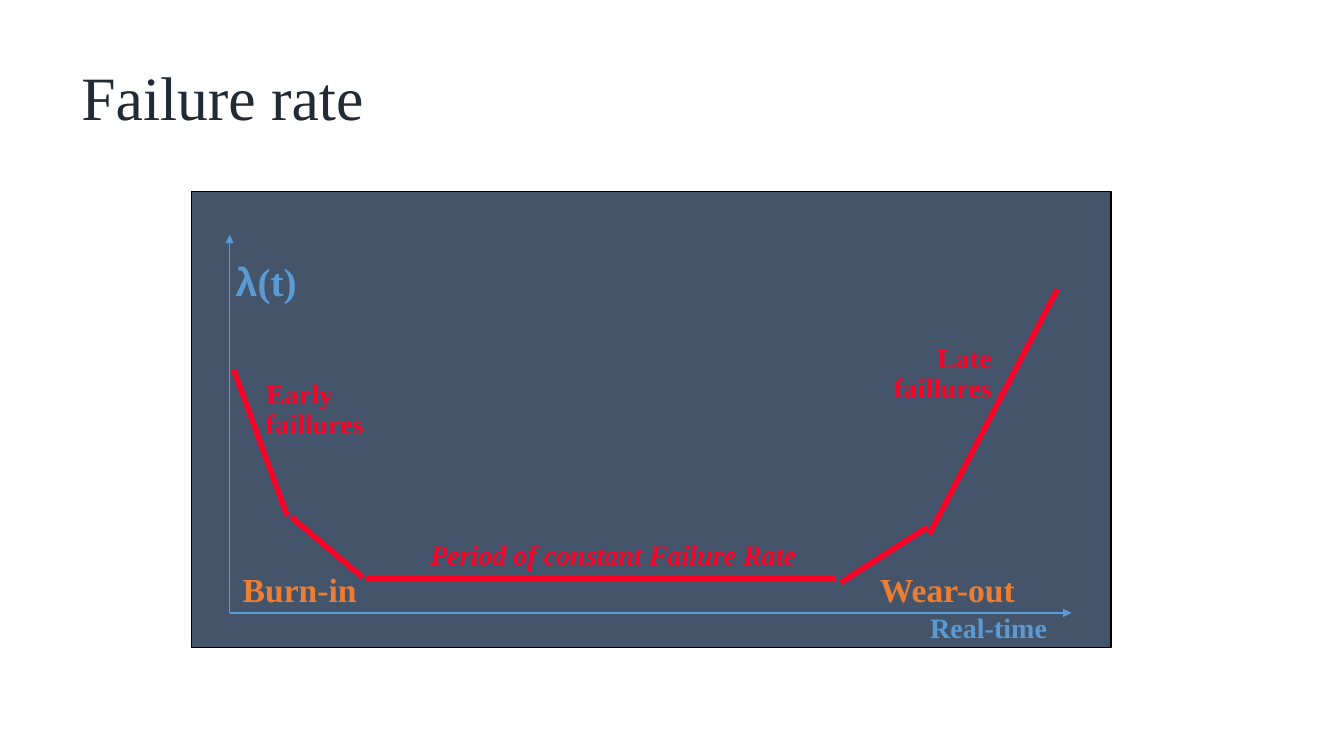
from lxml import etree
from pptx import Presentation
from pptx.dml.color import RGBColor
from pptx.enum.shapes import MSO_CONNECTOR, MSO_SHAPE
from pptx.enum.text import MSO_ANCHOR, MSO_AUTO_SIZE, PP_ALIGN
from pptx.oxml.ns import qn
from pptx.util import Pt

RECTANGLE = MSO_SHAPE.RECTANGLE
STRAIGHT = MSO_CONNECTOR.STRAIGHT
LEFT, RIGHT = PP_ALIGN.LEFT, PP_ALIGN.RIGHT
MIDDLE = MSO_ANCHOR.MIDDLE
NO_AUTOFIT = MSO_AUTO_SIZE.NONE
SERIF, SANS = "Times New Roman", "Arial"
TITLE_ONLY = 5

COLORS = {
    "title": "222A35",
    "panel": "44546A",
    "border": "000000",
    "axis": "5B9BD5",
    "curve": "FC0128",
    "phase": "ED7D31",
}

# Chart geometry in points
ORIGIN = (164, 437.8)
AXIS_ENDS = [(765.4, 437.8), (164, 167.8)]
CURVE = [
    ((167, 264.2), (205.2, 368.6)),
    ((208.1, 369.4), (259.2, 412.6)),
    ((261.4, 413.3), (596.2, 413.3)),
    ((600.5, 416.2), (662.4, 376.6)),
    ((663.8, 381.6), (755.3, 206.6)),
]

# Lines of text, area, size, colour, alignment, italic
LABELS = [
    (["Real-time"], (657.4, 435.6, 98.6, 28.8), 20, "axis", LEFT, False),
    (["Period of constant Failure Rate"], (300.2, 383, 277.9, 28.8), 20, "curve", LEFT, True),
    (["Early", "faillures"], (182.9, 267.8, 84.2, 50.4), 20, "curve", LEFT, False),
    (["Late", "faillures"], (631.4, 242.6, 84.2, 50.4), 20, "curve", RIGHT, False),
    (["Burn-in"], (166.3, 406.1, 96.5, 33.1), 24, "phase", LEFT, False),
    (["Wear-out"], (621.4, 406.1, 111.6, 33.1), 24, "phase", LEFT, False),
]


def color(name):
    return RGBColor.from_string(COLORS[name])


def add_span(para, text, color_name, **formats):
    span = para.add_run()
    span.text = text
    for name, value in formats.items():
        setattr(span.font, name, value)
    span.font.color.rgb = color(color_name)


def set_title(page, text):
    title = page.shapes.title
    area = {"left": 51, "top": 25, "width": 828, "height": 93}
    for name, value in area.items():
        setattr(title, name, Pt(value))
    frame = title.text_frame
    frame.auto_size = NO_AUTOFIT
    frame.vertical_anchor = MIDDLE
    para = frame.paragraphs[0]
    para.alignment = LEFT
    para.line_spacing = 0.9
    add_span(para, text, "title", size=Pt(44), name=SERIF)


def add_panel(page, area):
    panel = page.shapes.add_shape(RECTANGLE, *map(Pt, area))
    panel.shadow.inherit = False
    panel.fill.solid()
    panel.fill.fore_color.rgb = color("panel")
    panel.line.color.rgb = color("border")
    panel.line.width = Pt(1)


def add_line(page, start, end, color_name, width, arrow=False):
    line = page.shapes.add_connector(STRAIGHT, *map(Pt, start + end))
    line.line.color.rgb = color(color_name)
    line.line.width = Pt(width)
    properties = line.element.spPr
    if arrow:
        outline = properties.find(qn("a:ln"))
        etree.SubElement(outline, qn("a:tailEnd"), type="triangle")
    etree.SubElement(properties, qn("a:effectLst"))


def add_text_box(page, area):
    box = page.shapes.add_textbox(*map(Pt, area))
    box.text_frame.word_wrap = False
    return box.text_frame


def add_label(page, lines, area, size, color_name, alignment, italic):
    frame = add_text_box(page, area)
    for index, text in enumerate(lines):
        para = frame.add_paragraph() if index else frame.paragraphs[0]
        para.alignment = alignment
        para.line_spacing = 0.9
        add_span(para, text, color_name, size=Pt(size), name=SERIF, bold=True, italic=italic)


def add_rate_symbol(page):
    para = add_text_box(page, (161.3, 180, 58.3, 41)).paragraphs[0]
    para.space_before = Pt(5.6)
    for text, font in (("λ", SANS), ("(t)", SERIF)):
        add_span(para, text, "axis", size=Pt(28), name=font, bold=True)


def main():
    deck = Presentation()
    deck.slide_width, deck.slide_height = Pt(960), Pt(540)
    page = deck.slides.add_slide(deck.slide_layouts[TITLE_ONLY])
    set_title(page, "Failure rate")

    # Panel and axes
    add_panel(page, (137, 137, 656.6, 325.4))
    for end in AXIS_ENDS:
        add_line(page, ORIGIN, end, "axis", 1, arrow=True)
    add_rate_symbol(page)

    # Bathtub curve
    for start, end in CURVE:
        add_line(page, start, end, "curve", 4)

    # Labels
    for label in LABELS:
        add_label(page, *label)

    deck.save("out.pptx")


if __name__ == "__main__":
    main()
